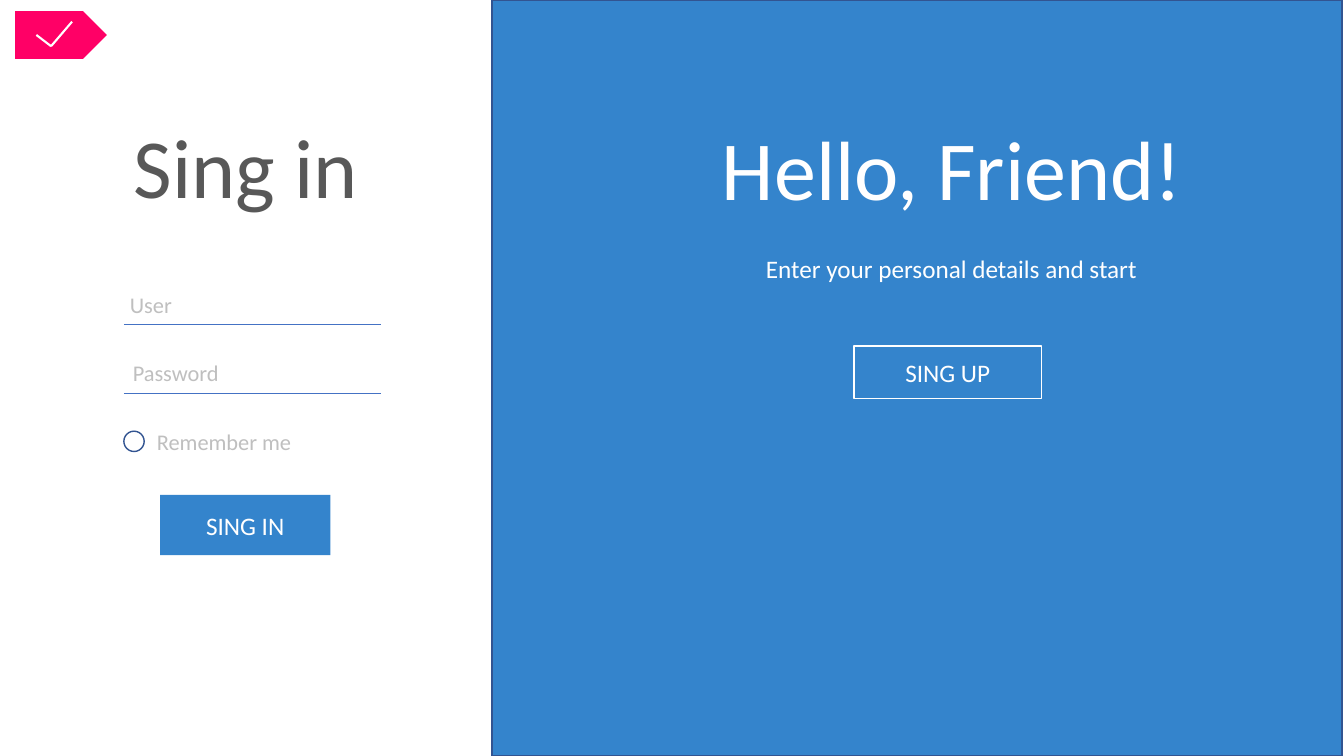
import pptx
import pptx.util
import pptx.dml.color
import pptx.enum.shapes
import pptx.enum.text
from lxml import etree

Pt = pptx.util.Pt
Kind = pptx.enum.shapes.MSO_SHAPE
Align = pptx.enum.text.PP_ALIGN
Anchor = pptx.enum.text.MSO_ANCHOR
BLUE, NAVY, RULE = "3484CC", "325491", "4472C4"
WHITE, GREY, DARK, PINK = "FFFFFF", "BFBFBF", "585858", "FF0066"

deck = pptx.Presentation()
deck.slide_width, deck.slide_height = Pt(960), Pt(540)
shapes = deck.slides.add_slide(deck.slide_layouts[6]).shapes


def paint(target, color):
    """Give a fill, line or font a solid hex colour."""
    if hasattr(target, "solid"):
        target.solid()
        target.fore_color.rgb = pptx.dml.color.RGBColor.from_string(color)
    else:
        target.color.rgb = pptx.dml.color.RGBColor.from_string(color)


def write(shape, text, size, color, align=Align.CENTER, anchor=Anchor.MIDDLE):
    """Put one line of styled text in a shape."""
    frame = shape.text_frame
    frame.text = text
    frame.word_wrap = True
    frame.vertical_anchor = anchor
    line = frame.paragraphs[0]
    line.alignment = align
    font = line.runs[0].font
    font.size, font.name = Pt(size), "Calibri"
    paint(font, color)


# Panel, badge, buttons, greeting and check circle
blocks = [
    (Kind.RECTANGLE, (351.5, 0, 607, 540), BLUE, NAVY, "", 0),
    (Kind.RECTANGLE, (497, 62.5, 366, 114), BLUE, None, "Hello, Friend!", 60),
    (Kind.RECTANGLE, (523.5, 179.5, 312, 24), BLUE, None,
     "Enter your personal details and start", 18),
    (Kind.RECTANGLE, (114.5, 353.5, 121.5, 43), BLUE, None, "SING IN", 18),
    (Kind.RECTANGLE, (610, 247, 134, 37.5), None, WHITE, "SING UP", 18),
    (Kind.PENTAGON, (10.8, 8, 65.5, 34), PINK, None, "", 0),
    (Kind.OVAL, (88.5, 308, 14.5, 14.5), None, NAVY, "", 0),
]
for kind, box, fill, edge, text, size in blocks:
    block = shapes.add_shape(kind, *map(Pt, box))
    block.shadow.inherit = False
    if fill:
        paint(block.fill, fill)
    else:
        block.fill.background()
    if edge:
        paint(block.line, edge)
        block.line.width = Pt(1)
    else:
        block.line.fill.background()
    if text:
        write(block, text, size, WHITE)

title = shapes.add_textbox(Pt(55), Pt(59), Pt(241), Pt(117))
write(title, "Sing in", 60, DARK)

# Form labels
for text, left, top in [("User", 85.7, 204.5), ("Password", 87.8, 252.7),
                        ("Remember me", 105, 302.4)]:
    label = shapes.add_textbox(Pt(left), Pt(top), Pt(150), Pt(26.5))
    write(label, text, 16, GREY, Align.LEFT, Anchor.TOP)

# Field rules and the two strokes of the tick
strokes = [
    ((88.5, 231.5, 272, 231.5), RULE, 0.5),
    ((88.5, 281, 272, 281), RULE, 0.5),
    ((26, 25, 36.5, 33), WHITE, 1.5),
    ((36.5, 33, 51.5, 15.5), WHITE, 1.5),
]
for ends, color, width in strokes:
    stroke = shapes.add_connector(
        pptx.enum.shapes.MSO_CONNECTOR.STRAIGHT, *map(Pt, ends))
    paint(stroke.line, color)
    stroke.line.width = Pt(width)
    etree.SubElement(stroke.element.spPr, pptx.oxml.ns.qn("a:effectLst"))

deck.save("out.pptx")
